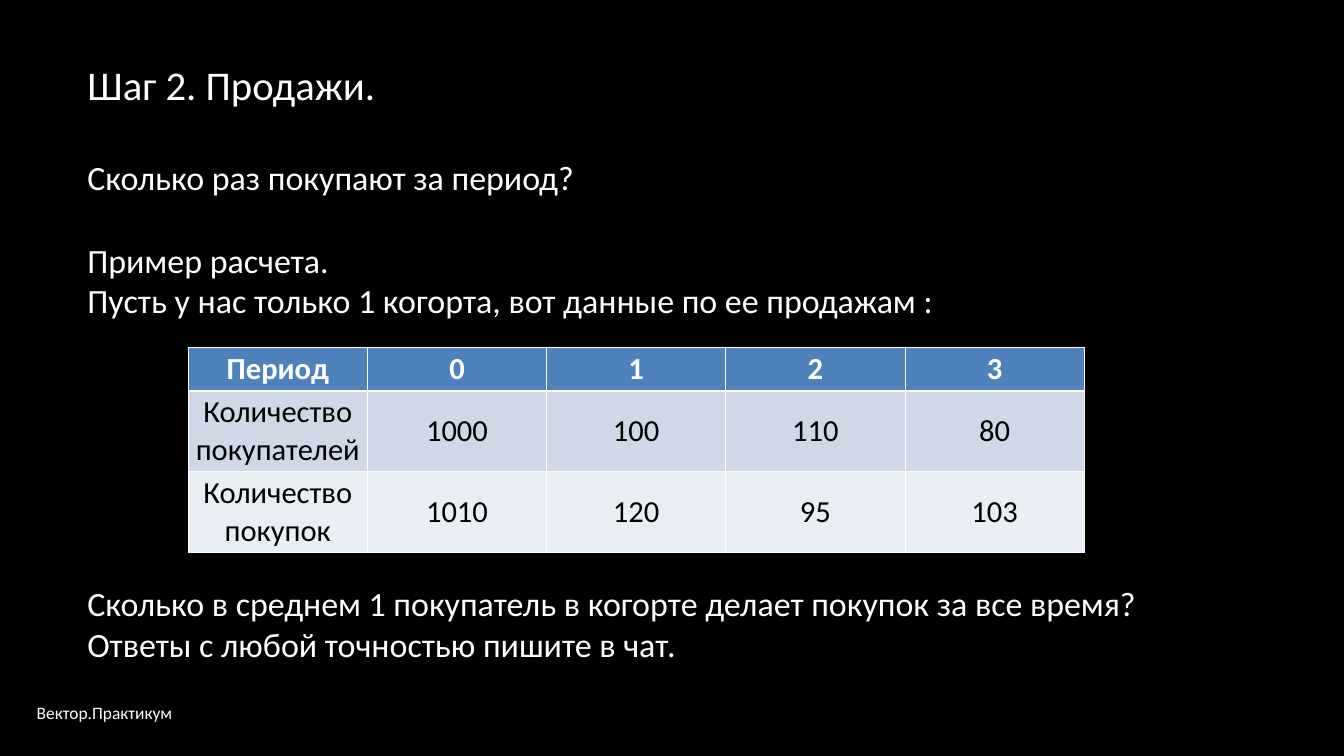
from lxml import etree
from pptx import Presentation
from pptx.dml.color import RGBColor
from pptx.enum.text import MSO_ANCHOR, MSO_AUTO_SIZE, PP_ALIGN
from pptx.oxml.ns import qn
from pptx.util import Inches, Pt

LEFT, CENTER = PP_ALIGN.LEFT, PP_ALIGN.CENTER
TOP, MIDDLE = MSO_ANCHOR.TOP, MSO_ANCHOR.MIDDLE
NO_AUTOFIT = MSO_AUTO_SIZE.NONE

BLACK = RGBColor(0x00, 0x00, 0x00)
WHITE = RGBColor(0xFF, 0xFF, 0xFF)
HEADER_BLUE = RGBColor(0x4F, 0x81, 0xBD)
BAND_COLORS = (RGBColor(0xD0, 0xD8, 0xE8), RGBColor(0xE9, 0xED, 0xF4))

FONT = "Calibri"
TITLE_LAYOUT = 5
BODY_SIZE = 40
BLANK_LINE = Pt(48.8)

SALES = (
    ("Период", "0", "1", "2", "3"),
    ("Количество покупателей", "1000", "100", "110", "80"),
    ("Количество покупок", "1010", "120", "95", "103"),
)
ROW_HEIGHTS = (0.7, 1.3, 1.3)


def format_paragraph(paragraph, size, color=WHITE, bold=False, align=LEFT):
    paragraph.alignment = align
    for name, value in {"name": FONT, "size": Pt(size), "bold": bold}.items():
        setattr(paragraph.font, name, value)
    paragraph.font.color.rgb = color


def fill_text(shape, lines, size):
    """Write one paragraph per line and return the paragraphs."""
    frame = shape.text_frame
    frame.text = "\n".join(lines)
    settings = {"word_wrap": True, "auto_size": NO_AUTOFIT, "vertical_anchor": TOP}
    for name, value in settings.items():
        setattr(frame, name, value)
    for paragraph in frame.paragraphs:
        format_paragraph(paragraph, size)
    return frame.paragraphs


def place_title(slide, box, text):
    title = slide.shapes.title
    for name, value in zip(("left", "top", "width", "height"), box):
        setattr(title, name, Inches(value))
    fill_text(title, [text], 48)


def add_body(slide, box, lines):
    shape = slide.shapes.add_textbox(*map(Inches, box))
    return fill_text(shape, lines, BODY_SIZE)


def add_footer(slide, box, text):
    shape = slide.shapes.add_textbox(*map(Inches, box))
    paragraph = fill_text(shape, [text], 20.5)[0]
    paragraph.line_spacing = Pt(24.2)
    for side in ("left", "top", "right", "bottom"):
        setattr(shape.text_frame, f"margin_{side}", 0)


def add_borders(cell, widths):
    """Draw white borders; widths maps the side letters L, R, T, B to points."""
    properties = cell._tc.get_or_add_tcPr()
    for index, (side, width) in enumerate(widths.items()):
        line = etree.Element(qn(f"a:ln{side}"), w=str(Pt(width)))
        fill = etree.SubElement(line, qn("a:solidFill"))
        etree.SubElement(fill, qn("a:srgbClr"), val=str(WHITE))
        properties.insert(index, line)


def add_sales_table(slide, box):
    frame = slide.shapes.add_table(len(SALES), len(SALES[0]), *map(Inches, box))
    table = frame.table
    for column in table.columns:
        column.width = Inches(box[2] / len(SALES[0]))
    for row_index, (values, height) in enumerate(zip(SALES, ROW_HEIGHTS)):
        table.rows[row_index].height = Inches(height)
        header = row_index == 0
        fill_color = HEADER_BLUE if header else BAND_COLORS[row_index - 1]
        text_color = WHITE if header else BLACK
        widths = {"L": 1, "R": 1, "T": 3 if row_index == 1 else 1, "B": 3 if header else 1}
        for column_index, value in enumerate(values):
            cell = table.cell(row_index, column_index)
            cell.text = value
            cell.vertical_anchor = MIDDLE
            cell.fill.solid()
            cell.fill.fore_color.rgb = fill_color
            format_paragraph(cell.text_frame.paragraphs[0], 36, text_color, header, CENTER)
            add_borders(cell, widths)


def build_sales_slide(presentation):
    slide = presentation.slides.add_slide(presentation.slide_layouts[TITLE_LAYOUT])
    slide.background.fill.solid()
    slide.background.fill.fore_color.rgb = BLACK

    add_footer(slide, (0.6, 11.49, 2.51, 0.36), "Вектор.Практикум")
    place_title(slide, (1.33, 0.93, 17.17, 0.91), "Шаг 2. Продажи.")
    intro = add_body(slide, (1.33, 2.52, 19.17, 2.79), (
        "Сколько раз покупают за период?",
        "Пример расчета.",
        "Пусть у нас только 1 когорта, вот данные по ее продажам :",
    ))
    intro[1].space_before = BLANK_LINE
    add_sales_table(slide, (3.08, 5.68, 14.66, sum(ROW_HEIGHTS)))
    add_body(slide, (1.33, 9.49, 19.17, 1.45), (
        "Сколько в среднем 1 покупатель в когорте делает покупок за все время?",
        "Ответы с любой точностью пишите в чат.",
    ))


def main():
    presentation = Presentation()
    presentation.slide_width = Inches(21.99)
    presentation.slide_height = Inches(12.37)
    build_sales_slide(presentation)
    presentation.save("out.pptx")


if __name__ == "__main__":
    main()
